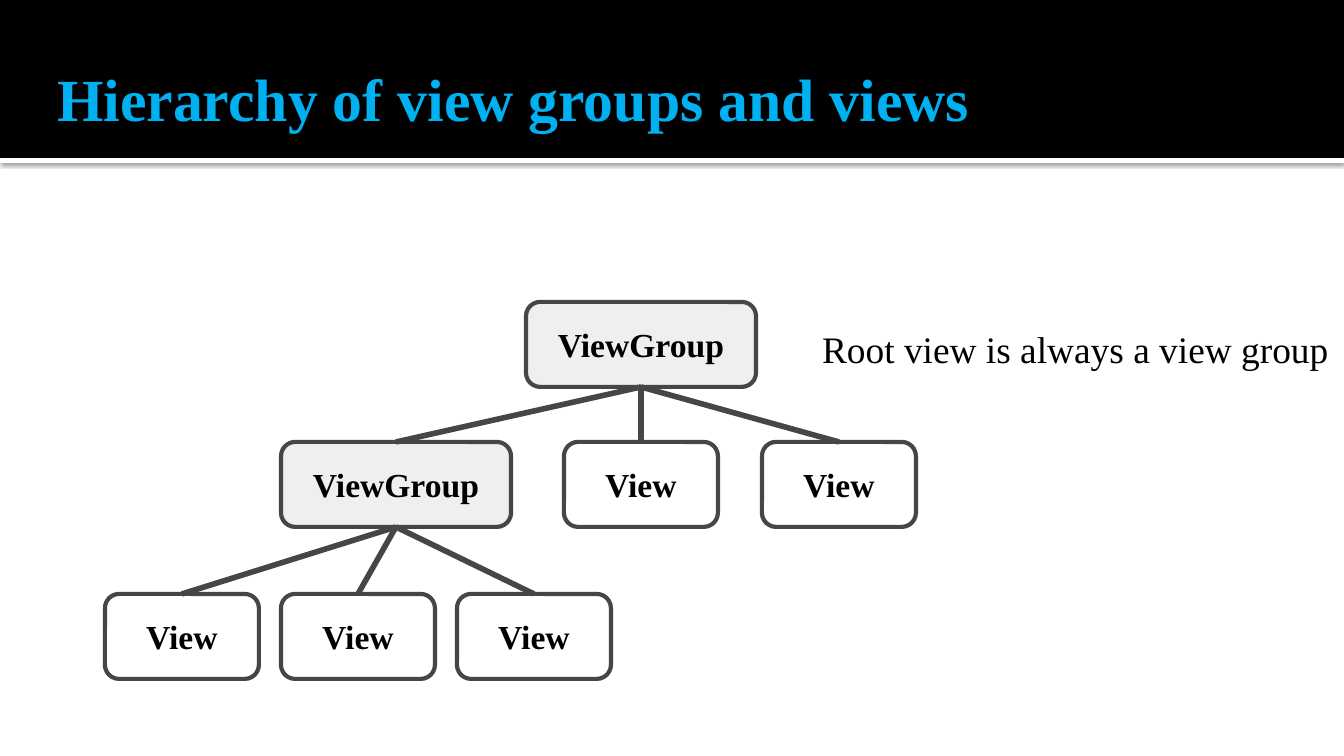
import lxml.etree
import pptx
import pptx.dml.color
import pptx.enum.shapes
import pptx.enum.text
import pptx.oxml
import pptx.oxml.ns
import pptx.util

TITLE = "Hierarchy of view groups and views"
ROOT_NOTE = "Root view is always a view group"
FONT = "Times New Roman"
BLACK, WHITE, GREY, DARK, BLUE = "000000", "FFFFFF", "EFEFEF", "464646", "00B0F0"

# Each kind of node: label, width, fill
KINDS = {"group": ("ViewGroup", 230, GREY), "view": ("View", 154, WHITE)}
# Each node: key, parent, kind, level, left
NODES = [
    ("root", None, "group", 0, 526),
    ("branch", "root", "group", 1, 281),
    *[(f"child {i}", "root", "view", 1, 564 + 198 * i) for i in range(2)],
    *[(f"leaf {i}", "branch", "view", 2, 105 + 176 * i) for i in range(3)],
]
LEVEL_TOPS = (302, 442, 594)
NODE_HEIGHT = 85
INSET = 13

SHADOW = (
    f'<a:effectLst {pptx.oxml.ns.nsdecls("a")}>'
    '<a:outerShdw blurRad="31750" dist="10160" dir="5400000" algn="t" rotWithShape="0">'
    '<a:srgbClr val="000000"><a:alpha val="60000"/></a:srgbClr>'
    "</a:outerShdw></a:effectLst>"
)
EFFECTS = pptx.oxml.ns.qn("a:effectLst")
MSO_SHAPE = pptx.enum.shapes.MSO_SHAPE
ANCHOR = pptx.enum.text.MSO_ANCHOR
ALIGN = pptx.enum.text.PP_ALIGN


def px(length):
    return pptx.util.Emu(round(length * 914400 / 134.4))


def rgb(value):
    return pptx.dml.color.RGBColor.from_string(value)


def write(shape, text, size, color=BLACK, bold=False, align=ALIGN.LEFT,
          anchor=ANCHOR.TOP, top_inset=INSET):
    frame = shape.text_frame
    frame.text = text
    frame.word_wrap = True
    frame.auto_size = pptx.enum.text.MSO_AUTO_SIZE.NONE
    frame.vertical_anchor = anchor
    frame.margin_left = frame.margin_right = frame.margin_bottom = px(INSET)
    frame.margin_top = px(top_inset)
    paragraph = frame.paragraphs[0]
    paragraph.alignment = align
    font = paragraph.runs[0].font
    font.name, font.size, font.bold = FONT, pptx.util.Pt(size), bold
    font.color.rgb = rgb(color)


def add_box(slide, preset, box, fill):
    shape = slide.shapes.add_shape(preset, *map(px, box))
    shape.shadow.inherit = False
    shape.fill.solid()
    shape.fill.fore_color.rgb = rgb(fill)
    shape.line.fill.background()
    return shape


def add_header(slide):
    title = slide.shapes.title
    title.left, title.top, title.width, title.height = map(px, (44, 42, 1253, 85))
    write(title, TITLE, 32, BLUE, bold=True, top_inset=20)

    rule = add_box(slide, MSO_SHAPE.RECTANGLE, (0, 158, 1344, 5), WHITE)
    properties = rule._element.spPr
    properties.remove(properties.find(EFFECTS))
    properties.append(pptx.oxml.parse_xml(SHADOW))
    band = add_box(slide, MSO_SHAPE.RECTANGLE, (0, 0, 1344, 158), BLACK)
    for backdrop in (band, rule):  # behind the title
        slide.shapes._spTree.insert(2, backdrop._element)


def add_node(slide, kind, level, left):
    label, width, fill = KINDS[kind]
    box = (left, LEVEL_TOPS[level], width, NODE_HEIGHT)
    node = add_box(slide, MSO_SHAPE.ROUNDED_RECTANGLE, box, fill)
    node.line.color.rgb = rgb(DARK)
    node.line.width = pptx.util.Pt(2.25)
    write(node, label, 18, bold=True, align=ALIGN.CENTER, anchor=ANCHOR.MIDDLE)
    return node


def add_branch(slide, parent, child):
    branch = slide.shapes.add_connector(pptx.enum.shapes.MSO_CONNECTOR.STRAIGHT, 0, 0, 0, 0)
    branch.begin_connect(parent, 2)
    branch.end_connect(child, 0)
    branch.line.color.rgb = rgb(DARK)
    branch.line.width = pptx.util.Pt(3)
    lxml.etree.SubElement(branch._element.spPr, EFFECTS)


def main():
    deck = pptx.Presentation()
    deck.slide_width, deck.slide_height = px(1344), px(756)
    slide = deck.slides.add_slide(deck.slide_layouts[5])
    add_header(slide)

    nodes = {key: add_node(slide, kind, level, left)
             for key, _, kind, level, left in NODES}
    for key, parent, *_ in NODES:
        if parent:
            add_branch(slide, nodes[parent], nodes[key])

    note = slide.shapes.add_textbox(*map(px, (809, 309, 535, 58)))
    write(note, ROOT_NOTE, 20, top_inset=17)
    deck.save("out.pptx")


if __name__ == "__main__":
    main()
